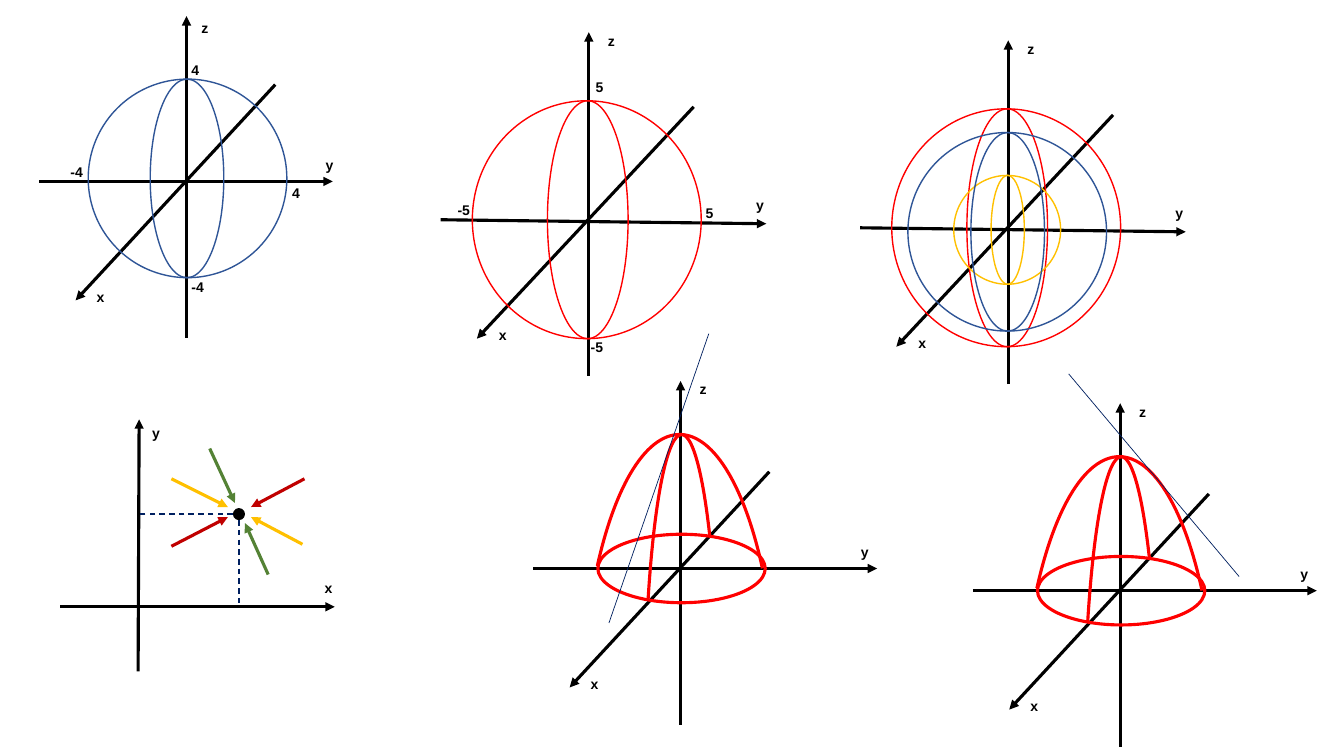
from dataclasses import dataclass

from lxml.etree import SubElement
from pptx import Presentation
from pptx.dml.color import RGBColor
from pptx.enum.dml import MSO_LINE
from pptx.enum.shapes import MSO_CONNECTOR, MSO_SHAPE
from pptx.enum.text import MSO_AUTO_SIZE
from pptx.oxml.ns import qn
from pptx.shapes.autoshape import Shape
from pptx.shapes.connector import Connector
from pptx.shapes.shapetree import GroupShapes
from pptx.util import Inches, Pt

BLACK = RGBColor(0x00, 0x00, 0x00)
BLUE = RGBColor(0x2F, 0x55, 0x97)
RED = RGBColor(0xFF, 0x00, 0x00)
GOLD = RGBColor(0xFF, 0xC0, 0x00)
GREEN = RGBColor(0x54, 0x82, 0x35)
DARK_RED = RGBColor(0xC0, 0x00, 0x00)
NAVY = RGBColor(0x00, 0x20, 0x60)

THICK, THIN, HAIRLINE = 2.25, 1, 0.5
Point = tuple[float, float]


# All points below are inches measured from the origin of their diagram.
@dataclass(frozen=True)
class Axis:
    name: str
    start: Point
    end: Point
    label_at: Point


@dataclass(frozen=True)
class Sphere:
    color: RGBColor
    width: float
    height: float
    meridian_width: float
    center: Point


@dataclass(frozen=True)
class Mark:
    text: str
    at: Point


@dataclass(frozen=True)
class SphereDiagram:
    origin: Point
    axes: list[Axis]
    spheres: list[Sphere]
    marks: list[Mark]


@dataclass(frozen=True)
class Paraboloid:
    origin: Point
    tangent: tuple[Point, Point]


@dataclass(frozen=True)
class Arch:
    width: float
    center_x: float
    angles: tuple[float, float]


@dataclass(frozen=True)
class Approach:
    color: RGBColor
    start: Point
    end: Point


def shift(origin: Point, offset: Point) -> Point:
    return origin[0] + offset[0], origin[1] + offset[1]


def draw_line(group: GroupShapes, start: Point, end: Point, color: RGBColor,
              width: float, arrow: bool = False) -> Connector:
    line = group.add_connector(MSO_CONNECTOR.STRAIGHT,
                               *(Inches(value) for value in (*start, *end)))
    line.line.color.rgb = color
    line.line.width = Pt(width)
    if arrow:
        SubElement(line.line._get_or_add_ln(), qn("a:tailEnd"), type="triangle")
    SubElement(line._element.spPr, qn("a:effectLst"))
    return line


def draw_outline(group: GroupShapes, kind: MSO_SHAPE, center: Point, width: float,
                 height: float, color: RGBColor, weight: float) -> Shape:
    left, top = shift(center, (-width / 2, -height / 2))
    outline = group.add_shape(kind, Inches(left), Inches(top), Inches(width), Inches(height))
    outline.shadow.inherit = False
    outline.fill.background()
    outline.line.color.rgb = color
    outline.line.width = Pt(weight)
    return outline


def draw_label(group: GroupShapes, text: str, at: Point) -> None:
    width = 0.28 if len(text) == 1 else 0.33
    label = group.add_textbox(Inches(at[0]), Inches(at[1]), Inches(width), Inches(0.27))
    frame = label.text_frame
    frame.word_wrap = False
    frame.auto_size = MSO_AUTO_SIZE.SHAPE_TO_FIT_TEXT
    frame.text = text
    font = frame.paragraphs[0].font
    font.name, font.size, font.bold = "Arial", Pt(10), True
    font.color.rgb = BLACK


def draw_axes(group: GroupShapes, origin: Point, axes: list[Axis]) -> None:
    for axis in axes:
        draw_line(group, shift(origin, axis.start), shift(origin, axis.end), BLACK, THICK, True)
        draw_label(group, axis.name, shift(origin, axis.label_at))


def draw_spheres(group: GroupShapes, diagram: SphereDiagram) -> None:
    draw_axes(group, diagram.origin, diagram.axes)
    for sphere in diagram.spheres:
        dx, dy = sphere.center
        for width, center in ((sphere.width, (dx, dy)), (sphere.meridian_width, (dx / 2, dy))):
            draw_outline(group, MSO_SHAPE.OVAL, shift(diagram.origin, center),
                         width, sphere.height, sphere.color, THIN)
    for mark in diagram.marks:
        draw_label(group, mark.text, shift(diagram.origin, mark.at))


def draw_paraboloid(group: GroupShapes, paraboloid: Paraboloid) -> None:
    origin = paraboloid.origin
    draw_axes(group, origin, PARABOLOID_AXES)
    for arch in ARCHES:
        arc = draw_outline(group, MSO_SHAPE.ARC, shift(origin, (arch.center_x, 1.59)),
                           arch.width, 5.84, RED, THICK)
        arc.rotation = 180
        # Arc angles are stored in 60000ths of a degree, adjustments in 100000ths
        for index, angle in enumerate(arch.angles):
            arc.adjustments[index] = angle * 0.6
    draw_outline(group, MSO_SHAPE.OVAL, shift(origin, (0.01, 0)), 1.66, 0.68, RED, THICK)
    start, end = paraboloid.tangent
    draw_line(group, shift(origin, start), shift(origin, end), NAVY, HAIRLINE)


def draw_limit_paths(group: GroupShapes) -> None:
    draw_axes(group, PLANE_ORIGIN, PLANE_AXES)
    dot = draw_outline(group, MSO_SHAPE.OVAL, LIMIT_POINT, 0.12, 0.12, BLACK, THIN)
    dot.fill.solid()
    dot.fill.fore_color.rgb = BLACK
    dot.line.fill.background()
    for path in APPROACHES:
        draw_line(group, shift(LIMIT_POINT, path.start), shift(LIMIT_POINT, path.end),
                  path.color, THICK, True)
    x, y = LIMIT_POINT
    for start, end in (((x, y + 0.06), (x, PLANE_ORIGIN[1])), ((x - 0.06, y), (PLANE_ORIGIN[0], y))):
        draw_line(group, start, end, NAVY, THIN).line.dash_style = MSO_LINE.DASH


# Spheres
SMALL_AXES = [Axis("z", (0, 1.55), (0, -1.64), (0.05, -1.66)),
              Axis("x", (0.88, -0.96), (-1.1, 1.18), (-0.99, 1.01)),
              Axis("y", (-1.46, 0), (1.45, 0), (1.28, -0.3))]
LARGE_AXES = [Axis("z", (0, 1.53), (0, -1.88), (0.09, -1.93)),
              Axis("x", (1.04, -1.14), (-1.11, 1.16), (-0.99, 0.99)),
              Axis("y", (-1.47, -0.02), (1.76, 0.02), (1.56, -0.3))]
RED_SPHERE = Sphere(RED, 2.27, 2.36, 0.8, (-0.02, -0.02))
SPHERE_DIAGRAMS = [
    SphereDiagram((1.85, 1.8), SMALL_AXES, [Sphere(BLUE, 1.97, 1.97, 0.73, (0.01, -0.03))],
                  [Mark("4", (-0.05, -1.24)), Mark("-4", (-0.05, 0.91)),
                   Mark("4", (0.95, -0.02)), Mark("-4", (-1.25, -0.23))]),
    SphereDiagram((5.84, 2.2), LARGE_AXES, [RED_SPHERE],
                  [Mark("5", (-0.03, -1.47)), Mark("-5", (-0.08, 1.11)),
                   Mark("5", (1.06, -0.22)), Mark("-5", (-1.4, -0.25))]),
    SphereDiagram((10, 2.28), LARGE_AXES,
                  [RED_SPHERE, Sphere(GOLD, 1.06, 1.08, 0.33, (-0.01, 0)),
                   Sphere(BLUE, 1.97, 1.97, 0.73, (-0.01, 0.02))], []),
]

# Paths towards a point in the plane
PLANE_ORIGIN, LIMIT_POINT = (1.37, 6.02), (2.37, 5.1)
PLANE_AXES = [Axis("y", (0, 0.64), (0.01, -1.86), (0.04, -1.86)),
              Axis("x", (-0.77, 0), (1.95, 0), (1.75, -0.32))]
APPROACHES = [Approach(GOLD, (-0.67, -0.35), (-0.11, -0.07)),
              Approach(GREEN, (-0.29, -0.65), (-0.04, -0.11)),
              Approach(GOLD, (0.63, 0.3), (0.12, 0.03)),
              Approach(DARK_RED, (0.65, -0.35), (0.12, -0.07)),
              Approach(DARK_RED, (-0.67, 0.32), (-0.11, 0.03)),
              Approach(GREEN, (0.29, 0.6), (0.06, 0.09))]

# Paraboloids with a tangent line
PARABOLOID_AXES = [Axis("z", (0, 1.55), (0, -1.86), (0.09, -1.91)),
                   Axis("x", (0.88, -0.96), (-1.1, 1.18), (-0.99, 1.01)),
                   Axis("y", (-1.46, 0), (1.95, 0), (1.69, -0.3))]
ARCHES = [Arch(1.96, -0.01, (63.18, 117.3)), Arch(0.74, 0.01, (75.36, 98.24))]
PARABOLOIDS = [Paraboloid((6.75, 5.64), ((-0.71, 0.54), (0.28, -2.33))),
               Paraboloid((11.11, 5.86), ((1.18, -0.14), (-0.51, -2.15)))]


def main() -> None:
    deck = Presentation()
    deck.slide_width, deck.slide_height = Inches(13.33), Inches(7.5)
    shapes = deck.slides.add_slide(deck.slide_layouts[6]).shapes
    for diagram in SPHERE_DIAGRAMS:
        draw_spheres(shapes.add_group_shape().shapes, diagram)
    draw_limit_paths(shapes.add_group_shape().shapes)
    for paraboloid in PARABOLOIDS:
        draw_paraboloid(shapes.add_group_shape().shapes, paraboloid)
    deck.save("out.pptx")


if __name__ == "__main__":
    main()
